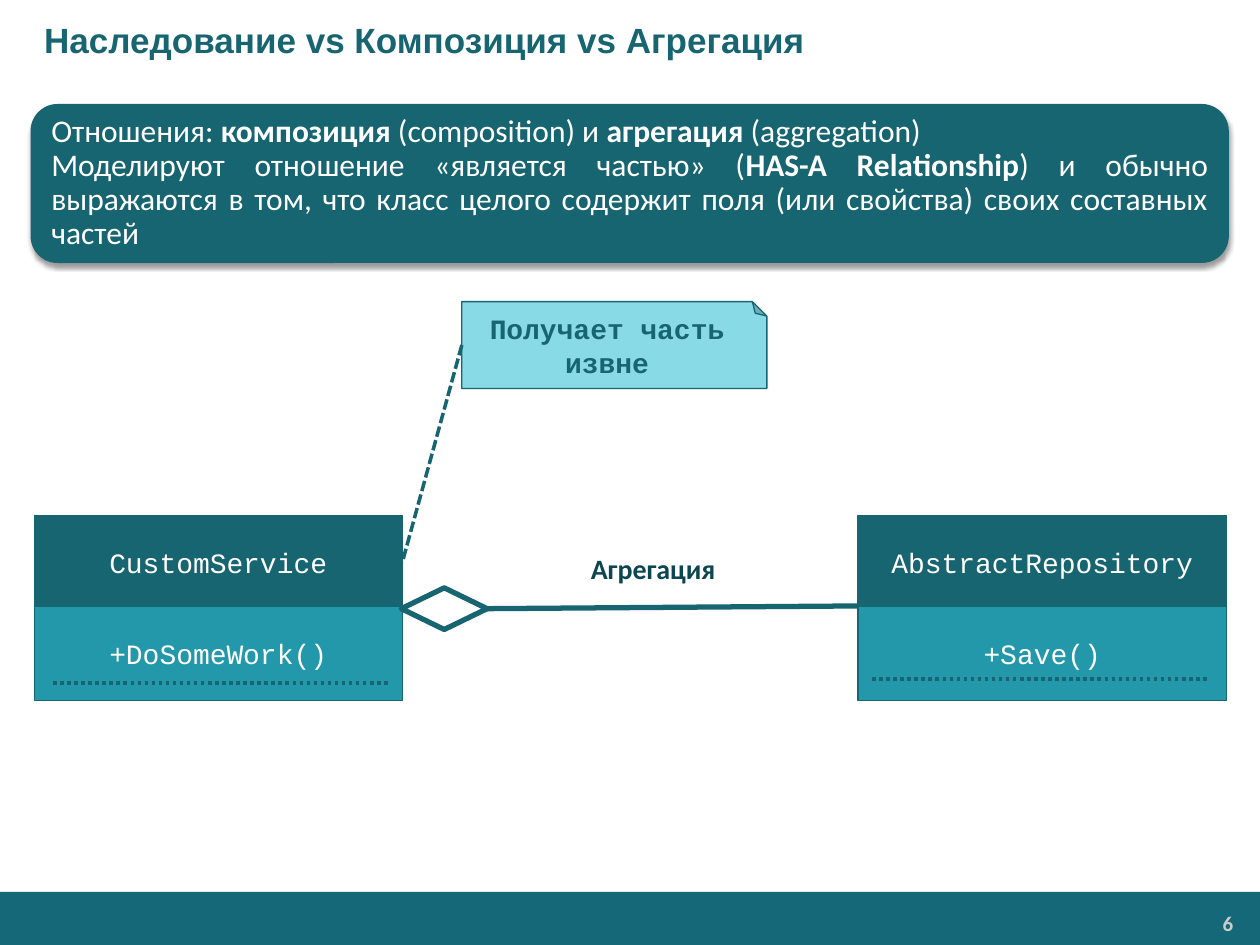
from lxml import etree
from pptx import Presentation
from pptx.dml.color import RGBColor
from pptx.enum.dml import MSO_LINE
from pptx.enum.shapes import MSO_CONNECTOR, MSO_SHAPE
from pptx.enum.text import MSO_ANCHOR, PP_ALIGN
from pptx.oxml.ns import qn
from pptx.util import Cm, Pt

RECT, ROUNDED = MSO_SHAPE.RECTANGLE, MSO_SHAPE.ROUNDED_RECTANGLE
FOLDED, DIAMOND = MSO_SHAPE.FOLDED_CORNER, MSO_SHAPE.DIAMOND
DASHED, DOTTED = MSO_LINE.SQUARE_DOT, MSO_LINE.ROUND_DOT
LEFT, CENTER, RIGHT, JUSTIFY = PP_ALIGN.LEFT, PP_ALIGN.CENTER, PP_ALIGN.RIGHT, PP_ALIGN.JUSTIFY
MIDDLE = MSO_ANCHOR.MIDDLE
STRAIGHT = MSO_CONNECTOR.STRAIGHT
RIGHT_SIDE = 3

COLORS = {
    "footer": "146878",
    "number": "CCCCCC",
    "dark": "176571",
    "teal": "2298AA",
    "note": "88DAE7",
    "label": "0D4650",
    "white": "FFFFFF",
}
BANNER = [
    [("Отношения:\u00a0", False), ("композиция", True), ("\u00a0(composition) и ", False),
     ("агрегация", True), ("\u00a0(aggregation)", False)],
    [("Моделируют отношение «является частью» (", False), ("HAS-A Relationship", True),
     (") и обычно выражаются в том, что класс целого содержит поля "
      "(или свойства) своих составных частей", False)],
]


def color(name):
    """Return the named colour."""
    return RGBColor.from_string(COLORS[name])


def style(para, size, face, tone, align, bold=None):
    """Set the font and alignment of a paragraph."""
    para.alignment = align
    para.font.size, para.font.name, para.font.bold = Pt(size), face, bold
    para.font.color.rgb = color(tone)


def add_box(page, kind, box, fill=None, outline="dark", weight=0.75, turn=0):
    """Add a shape that covers the box in cm after a turn in degrees."""
    left, top, width, height = box
    if turn % 180:
        left, top = left + (width - height) / 2, top + (height - width) / 2
        width, height = height, width
    shape = page.shapes.add_shape(kind, Cm(left), Cm(top), Cm(width), Cm(height))
    shape.rotation = turn
    shape.shadow.inherit = False
    if fill:
        shape.fill.solid()
        shape.fill.fore_color.rgb = color(fill)
    else:
        shape.fill.background()
    if outline:
        shape.line.color.rgb = color(outline)
        shape.line.width = Pt(weight)
    else:
        shape.line.fill.background()
    shape.text_frame.vertical_anchor = MIDDLE
    return shape


def add_text(page, box, text, size, face, tone, align, wrap=True):
    """Add a bold one-line text box and return its frame."""
    frame = page.shapes.add_textbox(*map(Cm, box)).text_frame
    frame.word_wrap = wrap
    para = frame.paragraphs[0]
    para.text = text
    style(para, size, face, tone, align, True)
    return frame


def add_line(page, start, end, weight, dash=None):
    """Add a straight line between two points in cm."""
    line = page.shapes.add_connector(STRAIGHT, *map(Cm, (*start, *end)))
    line.line.color.rgb = color("dark")
    line.line.width = Pt(weight)
    if dash:
        line.line.dash_style = dash
    etree.SubElement(line._element.spPr, qn("a:effectLst"))
    return line


def add_shadow(shape):
    """Give the shape a soft shadow below."""
    effects = shape._element.spPr.find(qn("a:effectLst"))
    shadow = etree.SubElement(effects, qn("a:outerShdw"), blurRad=str(Pt(3.1)),
                              dist=str(Pt(1.6)), dir="5400000", rotWithShape="0")
    tone = etree.SubElement(shadow, qn("a:srgbClr"), val="000000")
    etree.SubElement(tone, qn("a:alpha"), val="38000")


def draw_title(page, box):
    """Draw the indented slide title."""
    frame = add_text(page, box, "Наследование vs Композиция vs Агрегация",
                     20, "Arial", "dark", LEFT)
    frame.vertical_anchor = MIDDLE
    frame.paragraphs[0]._p.get_or_add_pPr().set("marL", str(Cm(0.64)))


def draw_footer(page, box):
    """Draw the footer bar and the page number."""
    left, top, width, height = box
    add_box(page, RECT, box, "footer", None)
    frame = add_text(page, (left + width - 4.5, top + 0.28, 4.14, 0.71), "6",
                     12, "Calibri", "number", RIGHT)
    frame.margin_left = frame.margin_right = Cm(0.18)
    frame.margin_top = frame.margin_bottom = Cm(0.1)


def draw_banner(page, box):
    """Draw the definition panel."""
    shape = add_box(page, ROUNDED, box, "dark")
    add_shadow(shape)
    frame = shape.text_frame
    for index, spans in enumerate(BANNER):
        para = frame.add_paragraph() if index else frame.paragraphs[0]
        para.line_spacing = 0.9
        tabs = etree.SubElement(para._p.get_or_add_pPr(), qn("a:tabLst"))
        etree.SubElement(tabs, qn("a:tab"), pos=str(Cm(1.27)), algn="l")
        style(para, 18, "Calibri", "white", JUSTIFY)
        for text, bold in spans:
            span = para.add_run()
            span.text, span.font.bold = text, bold


def draw_class(page, box, name, method, rule):
    """Draw a class with its method and a dotted rule, and return the name part."""
    left, top, width, height = box
    part = 1.9
    parts = []
    for text, fill, y in ((name, "dark", top), (method, "teal", top + height - part)):
        shape = add_box(page, RECT, (left, y, width, part), fill)
        para = shape.text_frame.paragraphs[0]
        para.text = text
        style(para, 16, "Courier New", "white", CENTER)
        parts.append(shape)
    x, y = left + rule[0], top + rule[1]
    add_line(page, (x, y), (x + 6.76, y), 2, DOTTED)
    return parts[0]


def draw_note(page, box, target):
    """Draw the note and its dashed line to the target."""
    left, top, width, height = box
    shape = add_box(page, FOLDED, box, "note", turn=270)
    shape.text_frame._txBody.bodyPr.set("vert", "vert")
    para = shape.text_frame.paragraphs[0]
    para.text = "Получает часть извне"
    style(para, 16, "Courier New", "dark", CENTER, True)
    start = (left, top + height / 2)
    add_line(page, start, start, 2, DASHED).end_connect(target, RIGHT_SIDE)


def draw_aggregation(page, box):
    """Draw the hollow diamond, its line and the label."""
    left, top, width, height = box
    diamond = (left, top + 0.63 * height, 1.73, 0.84)
    add_box(page, DIAMOND, diamond, weight=3, turn=90)
    add_line(page, (left + width, top + 0.9 * height),
             (left + diamond[2], diamond[1] + diamond[3] / 2), 3)
    add_text(page, (left + 3.57, top, 3.05, 0.94), "Агрегация",
             16, "Calibri", "label", LEFT, False)


def main():
    """Build the slide and save it."""
    deck = Presentation()
    deck.slide_width, deck.slide_height = Cm(25.4), Cm(19.05)
    page = deck.slides.add_slide(deck.slide_layouts[6])
    draw_footer(page, (0, 17.98, 25.4, 1.07))
    draw_title(page, (0, 0, 25.4, 1.6))
    draw_banner(page, (0.63, 2.11, 24.13, 3.18))
    service = draw_class(page, (0.69, 10.39, 7.42, 3.73),
                         "CustomService", "+DoSomeWork()", (0.38, 3.38))
    draw_class(page, (17.3, 10.39, 7.42, 3.73),
               "AbstractRepository", "+Save()", (0.28, 3.3))
    draw_note(page, (9.31, 6.08, 6.15, 1.75), service)
    draw_aggregation(page, (8.09, 11, 9.21, 1.35))
    deck.save("out.pptx")


if __name__ == "__main__":
    main()
